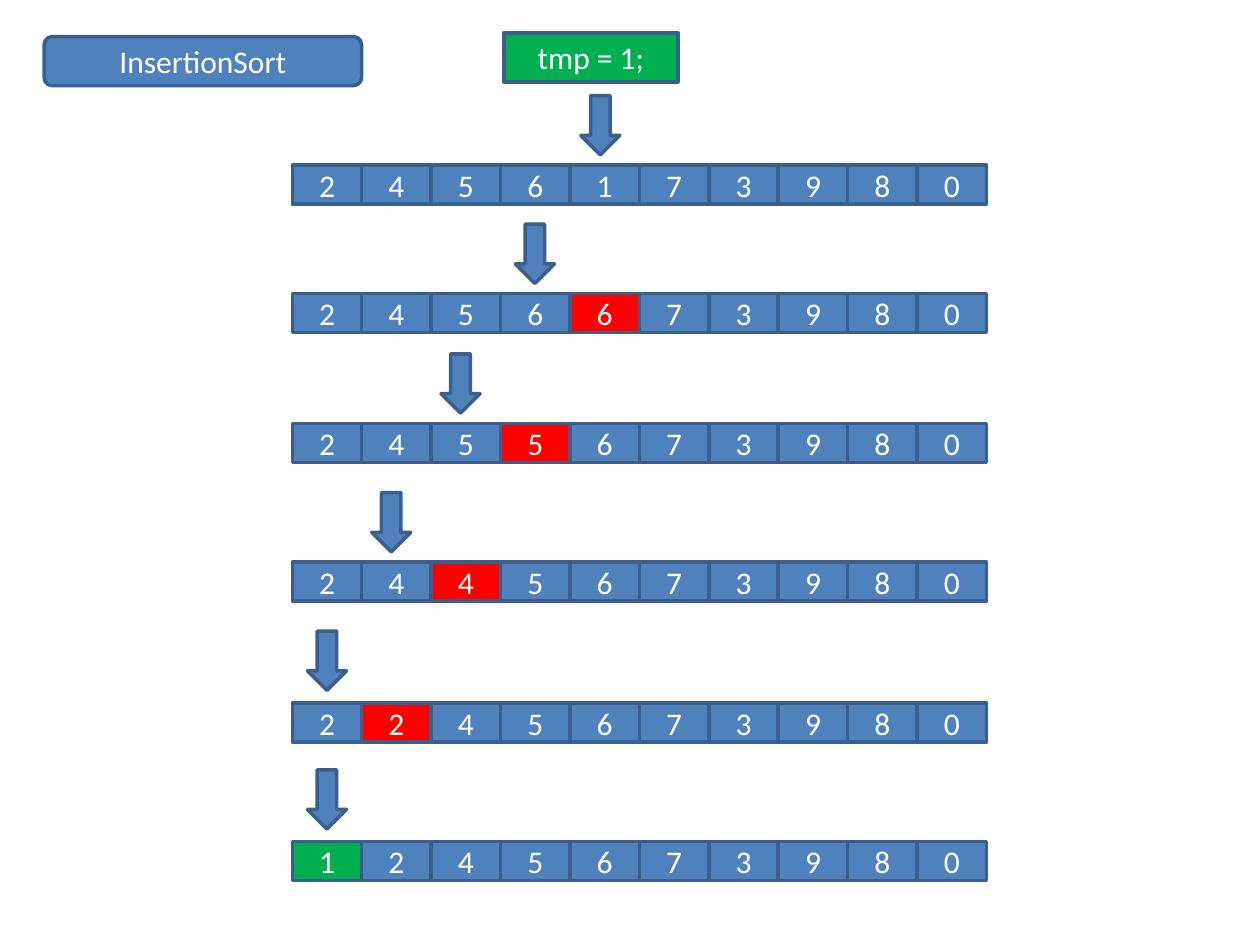
from dataclasses import dataclass

from pptx import Presentation
from pptx import util as u
from pptx.dml.color import RGBColor
from pptx.enum import shapes, text


@dataclass(frozen=True)
class Theme:
    blue: str = "4F81BD"
    edge: str = "3A5F8C"
    red: str = "FF0000"
    green: str = "00B050"
    white: str = "FFFFFF"
    font: str = "Calibri"
    size: int = 18
    line: int = 2


class Deck:
    """Holds the theme and the current slide."""

    def __init__(self, theme, slide):
        self.theme = theme
        self.slide = slide

    def shape(self, kind, box, fill):
        item = self.slide.shapes.add_shape(kind, *map(u.Inches, box))
        item.shadow.inherit = False
        item.fill.solid()
        item.fill.fore_color.rgb = RGBColor.from_string(fill)
        item.line.color.rgb = RGBColor.from_string(self.theme.edge)
        item.line.width = u.Pt(self.theme.line)
        return item

    def label(self, words, box, fill, kind=shapes.MSO_SHAPE.RECTANGLE):
        frame = self.shape(kind, box, fill).text_frame
        frame.text = words
        frame.vertical_anchor = text.MSO_ANCHOR.MIDDLE
        para = frame.paragraphs[0]
        para.alignment = text.PP_ALIGN.CENTER
        font = para.runs[0].font
        font.name = self.theme.font
        font.size = u.Pt(self.theme.size)
        font.color.rgb = RGBColor.from_string(self.theme.white)

    def arrow(self, left, top):
        self.shape(shapes.MSO_SHAPE.DOWN_ARROW, (left, top, 0.31, 0.47), self.theme.blue)

    def row(self, digits, top, mark, tint):
        left, wide = 2.32, 5.51 / 10
        for i, digit in enumerate(digits):
            fill = tint if i == mark else self.theme.blue
            self.label(digit, (left + i * wide, top, wide, 0.31), fill)


def main():
    theme = Theme()
    deck = Presentation()
    deck.slide_width, deck.slide_height = u.Inches(10), u.Inches(7.5)
    page = Deck(theme, deck.slides.add_slide(deck.slide_layouts[6]))

    # Title
    page.label("InsertionSort", (0.35, 0.29, 2.52, 0.39), theme.blue,
               shapes.MSO_SHAPE.ROUNDED_RECTANGLE)

    # Sorting steps: digits, row top, marked cell, its colour, arrow place
    steps = [
        ("2456173980", 1.31, None, theme.blue, (4.61, 0.76)),
        ("2456673980", 2.33, 4, theme.red, (4.09, 1.78)),
        ("2455673980", 3.36, 3, theme.red, (3.5, 2.81)),
        ("2445673980", 4.46, 2, theme.red, (2.95, 3.91)),
        ("2245673980", 5.58, 1, theme.red, (2.44, 5.01)),
        ("1245673980", 6.68, 0, theme.green, (2.44, 6.11)),
    ]
    for digits, top, mark, tint, place in steps:
        page.row(digits, top, mark, tint)
        page.arrow(*place)

    # Held value
    page.label("tmp = 1;", (4, 0.26, 1.38, 0.39), theme.green)

    deck.save("out.pptx")


if __name__ == "__main__":
    main()
